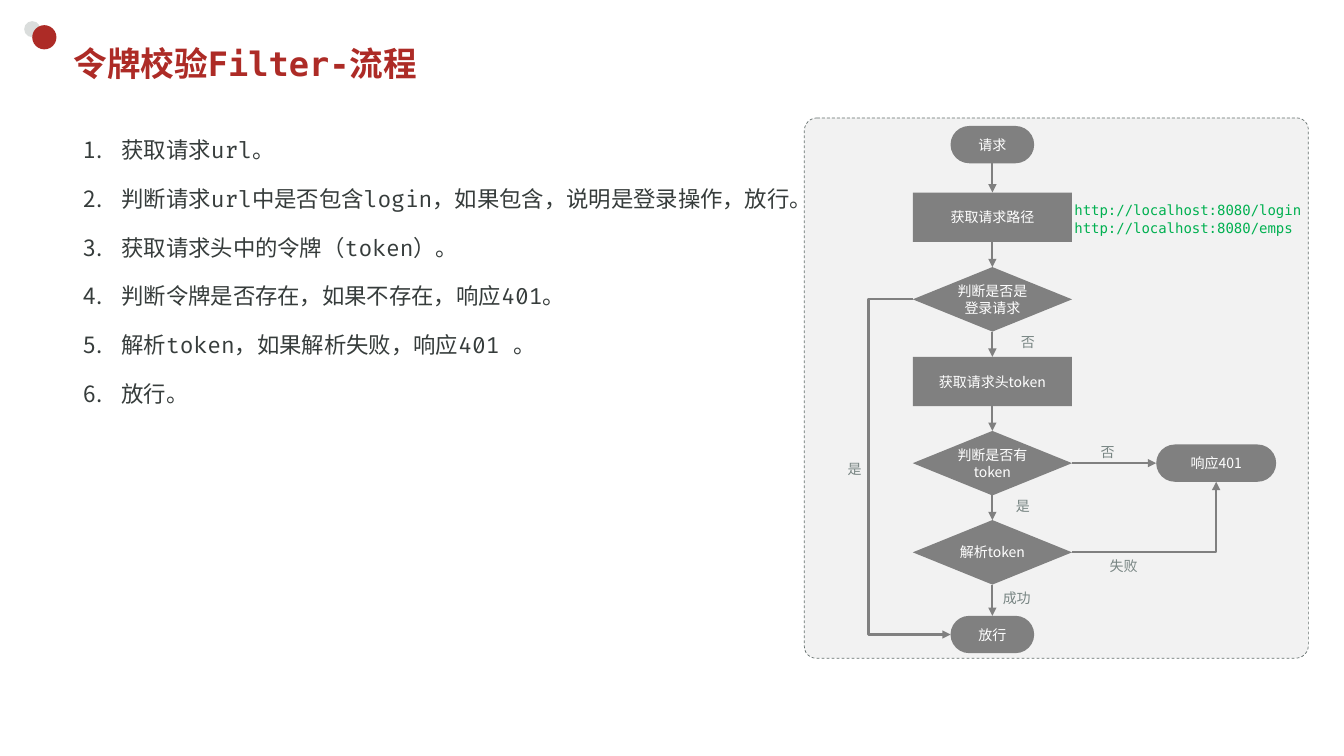
import pptx
import pptx.dml.color
import pptx.enum.dml
import pptx.enum.shapes
import pptx.enum.text
import pptx.oxml.ns
import pptx.oxml.xmlchemy
import pptx.util
import lxml.etree

SHAPE = pptx.enum.shapes.MSO_SHAPE
CONNECTOR = pptx.enum.shapes.MSO_CONNECTOR
ALIGN = pptx.enum.text.PP_ALIGN
ANCHOR = pptx.enum.text.MSO_ANCHOR
FIT = pptx.enum.text.MSO_AUTO_SIZE
qn = pptx.oxml.ns.qn

COLORS = {
    "brand": "AD2B26", "dot": "DADDDC", "body": "363C3B", "panel": "F2F2F2",
    "border": "65706E", "node": "808080", "label": "788583",
    "url": "00B050", "white": "FFFFFF",
}
SANS, MONO, CODE = "Noto Sans CJK JP", "DejaVu Sans Mono", "Fira Code"
TOP, LEFT, BOTTOM, RIGHT = range(4)
COLUMNS, ROWS = 133.33, 75  # grid cells of a tenth of an inch


def cells(*counts):
    return [pptx.util.Inches(count / 10) for count in counts]


def color(name):
    return pptx.dml.color.RGBColor.from_string(COLORS[name])


class FlowPage:
    """Draws styled elements on one slide, measured in grid columns and rows."""

    def __init__(self, deck):
        self.page = deck.slides.add_slide(deck.slide_layouts[1])

    def style(self, paragraph, size, font, ink, bold=False, align=ALIGN.LEFT):
        paragraph.alignment = align
        paragraph.font.size = pptx.util.Pt(size)
        paragraph.font.bold = bold
        paragraph.font.color.rgb = color(ink)
        paragraph.font.name = font
        defaults = paragraph._p.pPr.find(qn("a:defRPr"))
        lxml.etree.SubElement(defaults, qn("a:ea"), typeface=SANS)

    def place(self, box, left, top, width, height):
        box.left, box.top, box.width, box.height = cells(left, top, width, height)

    def title(self, text, *area):
        box = self.page.shapes.title
        self.place(box, *area)
        frame = box.text_frame
        frame.text = text
        frame.vertical_anchor = ANCHOR.MIDDLE
        frame.auto_size = FIT.NONE
        self.style(frame.paragraphs[0], 24, MONO, "brand", bold=True)

    def numbered_list(self, items, *area):
        box = self.page.placeholders[1]
        self.place(box, *area)
        frame = box.text_frame
        frame.text = "\n".join(items)
        frame.vertical_anchor = ANCHOR.TOP
        frame.auto_size = FIT.NONE
        indent = cells(3.75)[0]
        for index, paragraph in enumerate(frame.paragraphs):
            paragraph.line_spacing = 1.5
            paragraph.space_before = pptx.util.Pt(6 if index else 0)
            settings = paragraph._p.get_or_add_pPr()
            settings.set("marL", str(indent))
            settings.set("indent", str(-indent))
            lxml.etree.SubElement(settings, qn("a:buFont"), typeface=SANS)
            lxml.etree.SubElement(settings, qn("a:buAutoNum"), type="arabicPeriod")
            self.style(paragraph, 16, CODE, "body")

    def shape(self, kind, fill, *area):
        shape = self.page.shapes.add_shape(kind, *cells(*area))
        shape.shadow.inherit = False
        shape.fill.solid()
        shape.fill.fore_color.rgb = color(fill)
        shape.line.fill.background()
        return shape

    def panel(self, *area):
        panel = self.shape(SHAPE.ROUND_2_DIAG_RECTANGLE, "panel", *area)
        panel.adjustments[0], panel.adjustments[1] = 0.025, 0.023
        panel.line.color.rgb = color("border")
        panel.line.width = pptx.util.Pt(0.5)
        panel.line.dash_style = pptx.enum.dml.MSO_LINE.DASH

    def node(self, kind, text, center, middle, width, height):
        node = self.shape(kind, "node", center - width / 2, middle - height / 2, width, height)
        if kind == SHAPE.ROUNDED_RECTANGLE:
            node.adjustments[0] = 0.5
        frame = node.text_frame
        frame.text = text
        frame.word_wrap = True
        frame.vertical_anchor = ANCHOR.MIDDLE
        frame.margin_left = frame.margin_right = frame.margin_top = frame.margin_bottom = 0
        self.style(frame.paragraphs[0], 10, SANS, "white", align=ALIGN.CENTER)
        return node

    def label(self, text, left, top, width, font=SANS, ink="label"):
        box = self.page.shapes.add_textbox(*cells(left, top, width, 2.3))
        frame = box.text_frame
        frame.text = text
        frame.word_wrap = True
        frame.auto_size = FIT.SHAPE_TO_FIT_TEXT
        self.style(frame.paragraphs[0], 10, font, ink)

    def arrow(self, kind, *ends):
        arrow = self.page.shapes.add_connector(kind, *cells(*ends))
        arrow.line.color.rgb = color("node")
        arrow.line.width = pptx.util.Pt(1.5)
        lxml.etree.SubElement(arrow.line._get_or_add_ln(), qn("a:tailEnd"), type="triangle")
        lxml.etree.SubElement(arrow._element.spPr, qn("a:effectLst"))
        return arrow

    def link(self, source, source_side, target, target_side):
        arrow = self.arrow(CONNECTOR.STRAIGHT, 0, 0, 0, 0)
        arrow.begin_connect(source, source_side)
        arrow.end_connect(target, target_side)

    def elbow(self, *ends, preset="bentConnector3", bend=None):
        """Draw a bent arrow; bend is the share of the width where it turns."""
        geometry = self.arrow(CONNECTOR.ELBOW, *ends)._element.spPr.find(qn("a:prstGeom"))
        geometry.set("prst", preset)
        if bend is not None:
            guides = geometry.find(qn("a:avLst"))
            if guides is None:
                guides = lxml.etree.SubElement(geometry, qn("a:avLst"))
            lxml.etree.SubElement(guides, qn("a:gd"), name="adj1",
                                  fmla=f"val {round(bend * 100000)}")


def main():
    deck = pptx.Presentation()
    deck.slide_width, deck.slide_height = cells(COLUMNS, ROWS)
    flow = FlowPage(deck)

    flow.shape(SHAPE.OVAL, "dot", 2.4, 2.1, 1.6, 1.6)
    flow.shape(SHAPE.OVAL, "brand", 3.2, 2.5, 2.4, 2.4)
    flow.title("令牌校验Filter-流程", 6.3, 3.7, 117.5, 5.2)
    flow.numbered_list([
        "获取请求url。",
        "判断请求url中是否包含login，如果包含，说明是登录操作，放行。",
        "获取请求头中的令牌（token）。",
        "判断令牌是否存在，如果不存在，响应401。",
        "解析token，如果解析失败，响应401 。",
        "放行。",
    ], 7.3, 11.7, 73.3, 30.9)
    flow.panel(79.8, 11.7, 50, 53.6)

    center, reject_center, token_middle = 98.45, 120.65, 45.95
    pill = (SHAPE.ROUNDED_RECTANGLE, 8.3, 3.7)
    step = (SHAPE.RECTANGLE, 15.8, 4.9)
    decision = (SHAPE.FLOWCHART_DECISION, 15.8, 6.4)
    chain = [
        flow.node(kind, text, center, middle, width, height)
        for (kind, width, height), text, middle in [
            (pill, "请求", 14.35),
            (step, "获取请求路径", 21.55),
            (decision, "判断是否是登录请求", 29.7),
            (step, "获取请求头token", 37.85),
            (decision, "判断是否有token", token_middle),
            (decision, "解析token", 54.8),
            (pill, "放行", 62.95),
        ]
    ]
    reject = flow.node(SHAPE.ROUNDED_RECTANGLE, "响应401", reject_center, token_middle, 11.9, 3.7)

    for source, target in zip(chain, chain[1:]):
        flow.link(source, BOTTOM, target, TOP)
    flow.link(chain[4], RIGHT, reject, LEFT)
    flow.elbow(90.55, 29.7, 94.3, 62.95, bend=-1.17)
    flow.elbow(106.35, 54.8, reject_center, 47.8, preset="bentConnector2")

    for text, left, top in [
        ("是", 83.1, 45.2), ("否", 100.3, 32.6), ("是", 99.8, 48.9),
        ("否", 108.2, 43.5), ("失败", 109.1, 54.8), ("成功", 98.5, 58),
    ]:
        flow.label(text, left, top, 2 + 1.5 * len(text))
    for index, address in enumerate(["login", "emps"]):
        flow.label(f"http://localhost:8080/{address}", 105.6, 19.5 + 1.8 * index, 24.9,
                   font=MONO, ink="url")

    deck.save("out.pptx")


if __name__ == "__main__":
    main()
